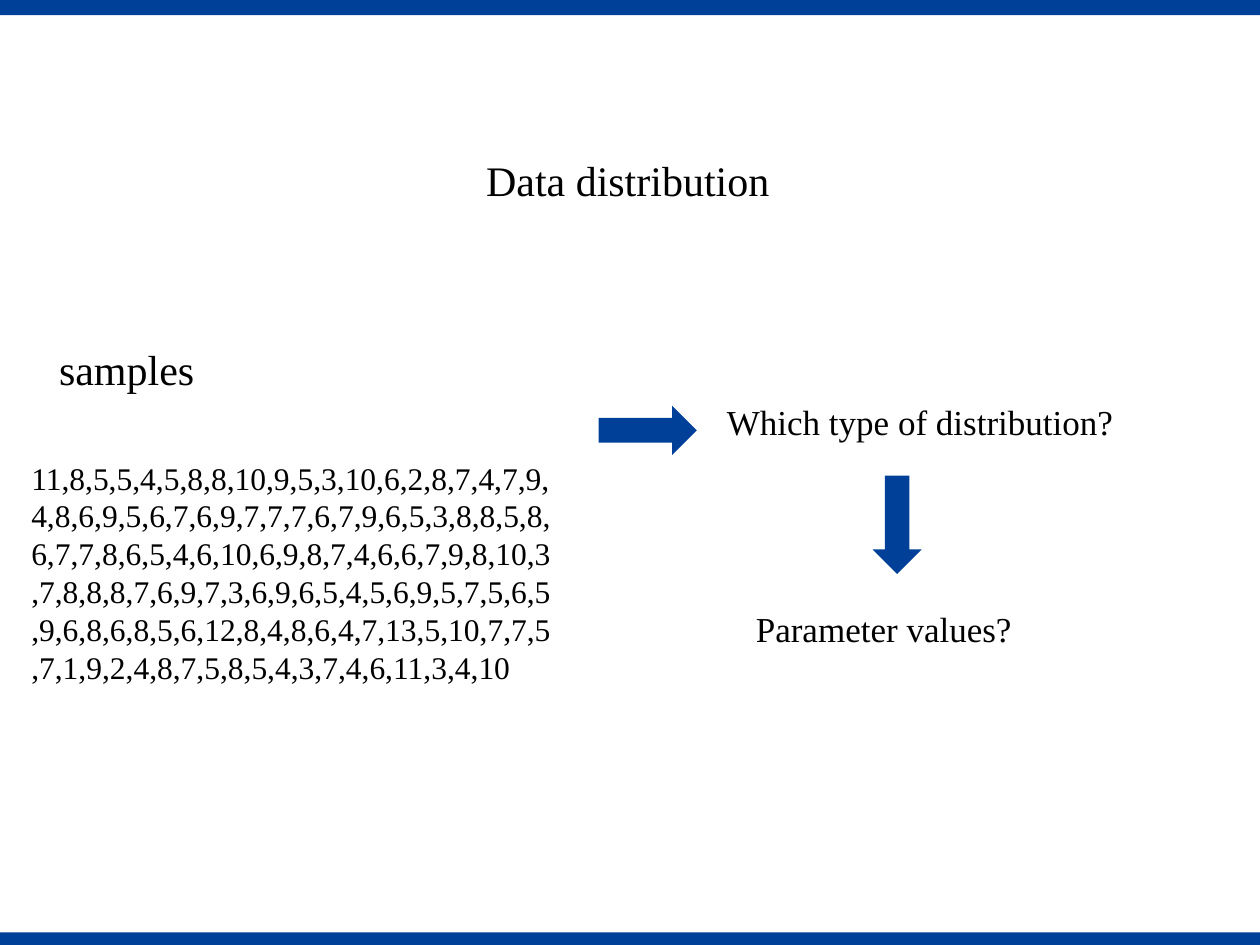
import pptx
import pptx.util
import pptx.dml.color
import pptx.enum.shapes
import pptx.enum.text

Inches = pptx.util.Inches
MSO_SHAPE = pptx.enum.shapes.MSO_SHAPE
BLUE = pptx.dml.color.RGBColor(0x00, 0x40, 0x98)
BLACK = pptx.dml.color.RGBColor(0x00, 0x00, 0x00)
FONT = "Times New Roman"

prs = pptx.Presentation()
prs.slide_width, prs.slide_height = Inches(10), Inches(7.5)
s = prs.slides.add_slide(prs.slide_layouts[6])


def add_text(text, left, top, width, height, size=20, wrap=False):
    sp = s.shapes.add_textbox(Inches(left), Inches(top), Inches(width), Inches(height))
    tf = sp.text_frame
    tf.word_wrap = wrap
    tf.auto_size = pptx.enum.text.MSO_AUTO_SIZE.SHAPE_TO_FIT_TEXT
    r = tf.paragraphs[0].add_run()
    r.text = text
    r.font.name = FONT
    r.font.size = pptx.util.Pt(size)
    r.font.color.rgb = BLACK


# Bottom and top bars, then the arrows to the right and down
for kind, left, top, width, height, rotation in [
    (MSO_SHAPE.RECTANGLE, 0, 7.4, 10, 0.1, 0),
    (MSO_SHAPE.RECTANGLE, 0, 0, 10, 0.12, 0),
    (MSO_SHAPE.RIGHT_ARROW, 4.75, 3.22, 0.78, 0.39, 0),
    (MSO_SHAPE.RIGHT_ARROW, 6.73, 3.97, 0.78, 0.39, 90),
]:
    sp = s.shapes.add_shape(kind, Inches(left), Inches(top), Inches(width), Inches(height))
    sp.rotation = rotation
    sp.shadow.inherit = False
    sp.fill.solid()
    sp.fill.fore_color.rgb = BLUE
    sp.line.fill.background()

# Title and questions
add_text("Data distribution", 3.76, 1.18, 2.47, 0.5, size=24)
add_text("Which type of distribution?", 5.67, 3.13, 3.29, 0.44)
add_text("Parameter values?", 5.9, 4.77, 2.25, 0.44)

# Sample data
add_text("samples", 0.37, 2.68, 1.29, 0.5, size=24)
samples = (
    "11,8,5,5,4,5,8,8,10,9,5,3,10,6,2,8,7,4,7,9,"
    "4,8,6,9,5,6,7,6,9,7,7,7,6,7,9,6,5,3,8,8,5,8,"
    "6,7,7,8,6,5,4,6,10,6,9,8,7,4,6,6,7,9,8,10,3"
    ",7,8,8,8,7,6,9,7,3,6,9,6,5,4,5,6,9,5,7,5,6,5"
    ",9,6,8,6,8,5,6,12,8,4,8,6,4,7,13,5,10,7,7,5"
    ",7,1,9,2,4,8,7,5,8,5,4,3,7,4,6,11,3,4,10"
)
add_text(samples, 0.15, 3.59, 4.34, 1.92, size=18, wrap=True)

prs.save("out.pptx")
